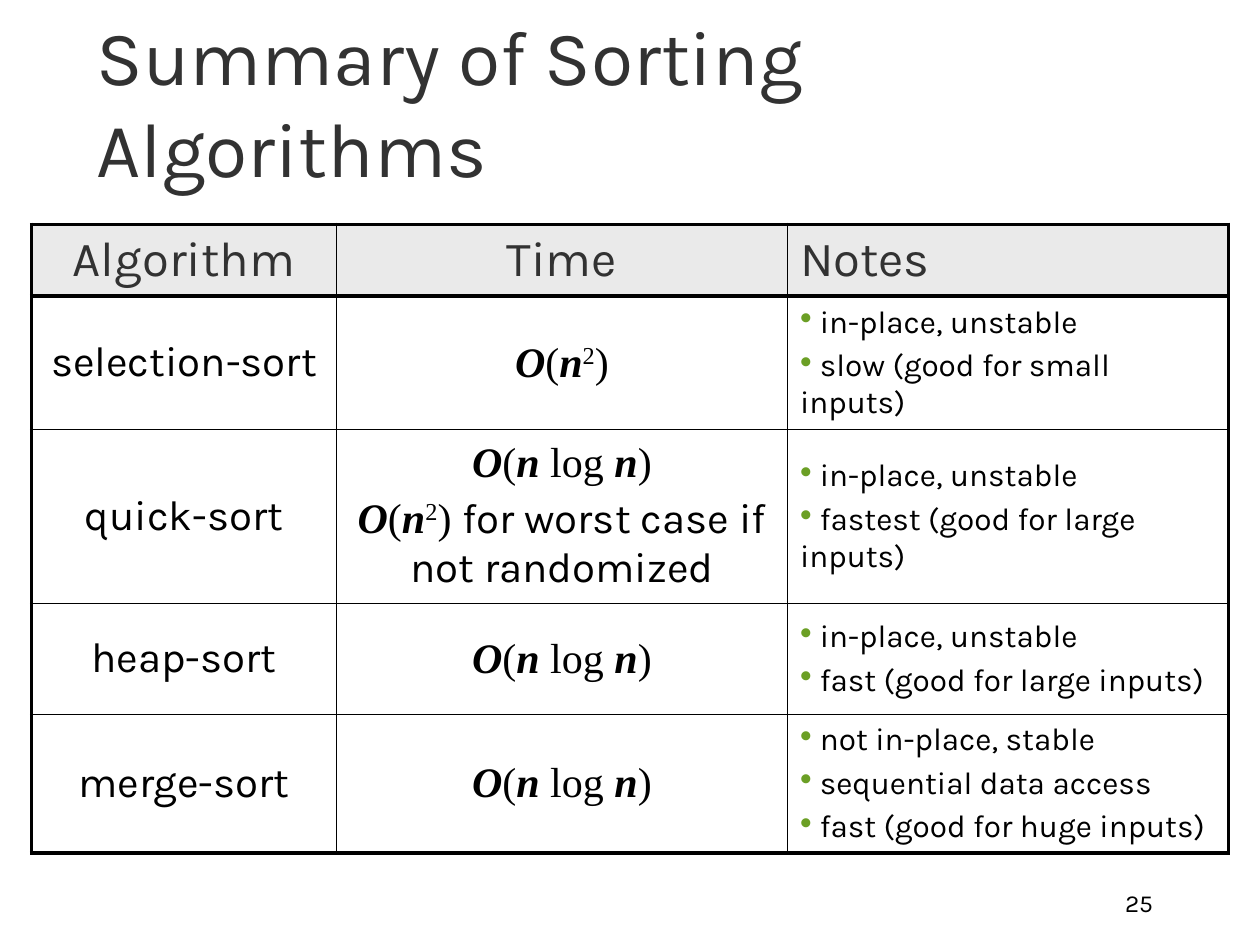
from lxml.etree import SubElement
from pptx import Presentation
from pptx.dml.color import RGBColor
from pptx.enum.text import MSO_ANCHOR, PP_ALIGN
from pptx.oxml.ns import qn
from pptx.util import Inches, Pt

COLORS = {"page": "FFFFFF", "ink": "000000", "heading": "323232",
          "header_fill": "EAEAEA", "bullet": "6B9F25"}
SANS, SERIF = "Karla", "Times New Roman"
THIN, THICK = 1, 2.25

TITLE = "Summary of Sorting Algorithms"
PAGE_NUMBER = "25"
SQUARED = [("O", "symbol"), ("(", "math"), ("n", "symbol"), ("2", "power")]
LINEARITHMIC = [("O", "symbol"), ("(", "math"), ("n", "symbol"),
                (" log ", "math"), ("n", "symbol"), (")", "math")]
HEADERS = ["Algorithm", "Time", "Notes"]
ALGORITHMS = [
    ("selection-sort", [SQUARED + [(")", "math")]],
     ["in-place, unstable", "slow (good for small inputs)"]),
    ("quick-sort",
     [LINEARITHMIC,
      SQUARED + [(") ", "math"), ("for worst case if not randomized", "plain")]],
     ["in-place, unstable", "fastest (good for large inputs)"]),
    ("heap-sort", [LINEARITHMIC],
     ["in-place, unstable", "fast (good for large inputs)"]),
    ("merge-sort", [LINEARITHMIC],
     ["not in-place, stable", "sequential data access", "fast (good for huge inputs)"]),
]
COLUMN_WIDTHS = [2.42, 3.58, 3.5]
ROW_HEIGHTS = [0.57, 1.06, 1.38, 0.88, 0.88]


def rgb(name):
    return RGBColor.from_string(COLORS[name])


def add_span(para, text, style, size, color):
    span = para.add_run()
    span.text = text
    font = span.font
    font.size = Pt(size)
    font.name = SANS if style == "plain" else SERIF
    font.color.rgb = rgb(color)
    font.bold = font.italic = style == "symbol"
    if style == "power":
        font._element.set("baseline", "30000")


def add_bullet(para):
    properties = para._p.get_or_add_pPr()
    properties.set("marL", "0")
    properties.set("indent", "0")
    color = SubElement(properties, qn("a:buClr"))
    SubElement(color, qn("a:srgbClr")).set("val", COLORS["bullet"])
    SubElement(properties, qn("a:buSzPct")).set("val", "110000")
    SubElement(properties, qn("a:buChar")).set("char", "•")


def write(frame, lines, size, color="ink", align=PP_ALIGN.LEFT, bulleted=False):
    frame.word_wrap = True
    for index, line in enumerate(lines):
        para = frame.add_paragraph() if index else frame.paragraphs[0]
        para.alignment = align
        if index:
            para.space_before = Pt(size * 0.2)
        if bulleted:
            add_bullet(para)
        for text, style in line:
            add_span(para, text, style, size, color)


def add_text(page, place, text, size, color, align):
    box = page.shapes.add_textbox(*map(Inches, place))
    box.text_frame.vertical_anchor = MSO_ANCHOR.BOTTOM
    write(box.text_frame, [[(text, "plain")]], size, color, align)


def set_borders(cell, row, column):
    last_row, last_column = len(ROW_HEIGHTS) - 1, len(COLUMN_WIDTHS) - 1
    thick_sides = {"L": column == 0, "R": column == last_column,
                   "T": row in (0, 1), "B": row in (0, last_row)}
    properties = cell._tc.get_or_add_tcPr()
    for side, is_thick in thick_sides.items():
        line = SubElement(properties, qn(f"a:ln{side}"))
        line.set("w", str(Pt(THICK if is_thick else THIN)))
        fill = SubElement(line, qn("a:solidFill"))
        SubElement(fill, qn("a:srgbClr")).set("val", COLORS["ink"])


def add_summary_table(page):
    shape = page.shapes.add_table(
        len(ROW_HEIGHTS), len(COLUMN_WIDTHS), Inches(0.25), Inches(1.78),
        Inches(sum(COLUMN_WIDTHS)), Inches(sum(ROW_HEIGHTS)))
    table = shape.table
    table.first_row = table.horz_banding = False
    for column, width in zip(table.columns, COLUMN_WIDTHS):
        column.width = Inches(width)
    for row, height in zip(table.rows, ROW_HEIGHTS):
        row.height = Inches(height)

    for row in range(len(ROW_HEIGHTS)):
        for column in range(len(COLUMN_WIDTHS)):
            cell = table.cell(row, column)
            cell.vertical_anchor = MSO_ANCHOR.MIDDLE
            set_borders(cell, row, column)
            if row == 0:
                cell.fill.solid()
                cell.fill.fore_color.rgb = rgb("header_fill")
            else:
                cell.fill.background()

    for column, header in enumerate(HEADERS):
        align = PP_ALIGN.LEFT if header == "Notes" else PP_ALIGN.CENTER
        write(table.cell(0, column).text_frame, [[(header, "plain")]], 28, "heading", align)
    for row, (name, times, notes) in enumerate(ALGORITHMS, start=1):
        name_frame, time_frame, notes_frame = (
            table.cell(row, column).text_frame for column in range(3))
        write(name_frame, [[(name, "plain")]], 24, align=PP_ALIGN.CENTER)
        write(time_frame, times, 24, align=PP_ALIGN.CENTER)
        write(notes_frame, [[(f" {note}", "plain")] for note in notes], 18, bulleted=True)


def main():
    deck = Presentation()
    deck.slide_width, deck.slide_height = Inches(10), Inches(7.5)
    page = deck.slides.add_slide(deck.slide_layouts[6])
    page.background.fill.solid()
    page.background.fill.fore_color.rgb = rgb("page")
    add_text(page, (7.17, 6.83, 2.08, 0.5), PAGE_NUMBER, 14, "ink", PP_ALIGN.RIGHT)
    add_text(page, (0.67, 0.33, 8.83, 1.25), TITLE, 44, "heading", PP_ALIGN.LEFT)
    add_summary_table(page)
    deck.save("out.pptx")


if __name__ == "__main__":
    main()
